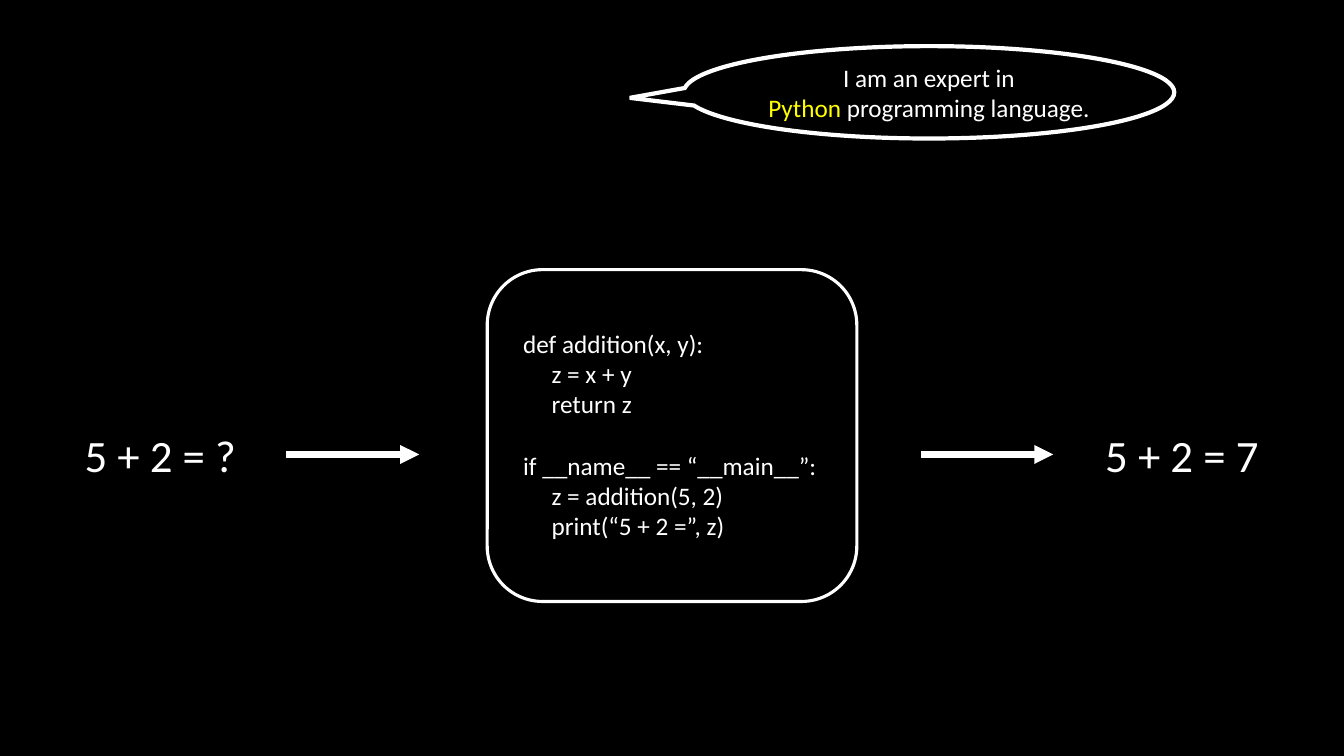
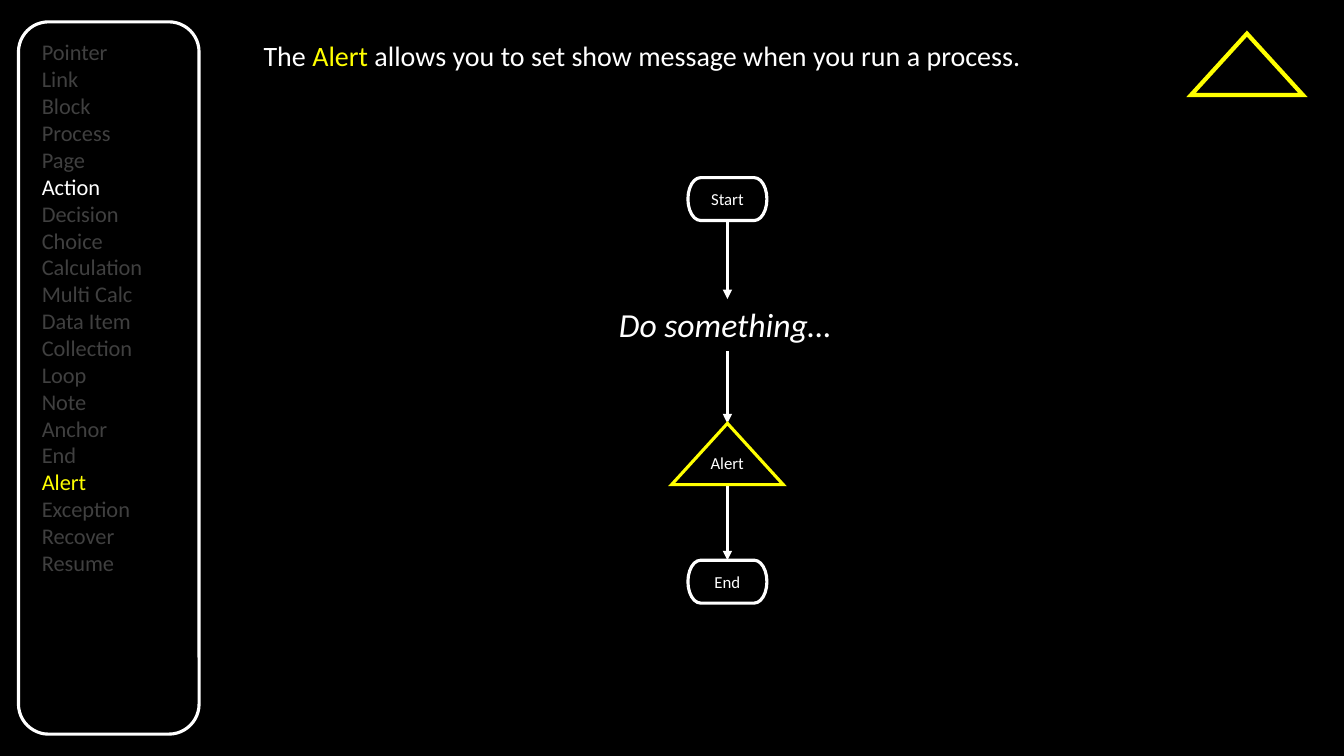
from lxml.etree import SubElement
from pptx import Presentation
from pptx.dml.color import RGBColor
from pptx.enum.shapes import MSO_CONNECTOR, MSO_SHAPE as SHAPE
from pptx.enum.text import MSO_ANCHOR as ANCHOR, MSO_AUTO_SIZE as AUTO, PP_ALIGN as ALIGN
from pptx.oxml.ns import qn
from pptx.util import Inches, Pt

BLACK = RGBColor(0x00, 0x00, 0x00)
WHITE = RGBColor(0xFF, 0xFF, 0xFF)
YELLOW = RGBColor(0xFF, 0xFF, 0x00)
GREY = RGBColor(0x40, 0x40, 0x40)

COLS, ROWS = 160, 90
STAGES = [
    "Pointer", "Link", "Block", "Process", "Page", "Action", "Decision",
    "Choice", "Calculation", "Multi Calc", "Data Item", "Collection", "Loop",
    "Note", "Anchor", "End", "Alert", "Exception", "Recover", "Resume",
]
STAGE_COLORS = {"Action": WHITE, "Alert": YELLOW}
FUNCTION_CODE = ["def addition(x, y):", "     z = x + y", "     return z"]
MAIN_CODE = [
    "if __name__ == “__main__”:",
    "     z = addition(5, 2)",
    "     print(“5 + 2 =”, z)",
]


class Deck:
    font = "Calibri"
    thin, medium, thick = 2.25, 3, 4.5

    def __init__(self):
        self.prs = Presentation()
        self.prs.slide_width, self.prs.slide_height = Inches(13.33), Inches(7.5)
        fill = self.prs.slide_master.background.fill
        fill.solid()
        fill.fore_color.rgb = BLACK
        self.s = None

    def new_slide(self):
        self.s = self.prs.slides.add_slide(self.prs.slide_layouts[6])

    def grid(self, *cells):
        units = (self.prs.slide_width / COLS, self.prs.slide_height / ROWS)
        return [round(cell * units[i % 2]) for i, cell in enumerate(cells)]

    def add_runs(self, tf, paragraphs, size, align=ALIGN.LEFT, italic=False):
        for i, runs in enumerate(paragraphs):
            p = tf.paragraphs[0] if i == 0 else tf.add_paragraph()
            p.alignment = align
            for text, color in runs:
                r = p.add_run()
                r.text = text
                r.font.name, r.font.size = self.font, Pt(size)
                r.font.color.rgb = color
                r.font.italic = italic

    def text(self, box, paragraphs, size, wrap=False, italic=False):
        tf = self.s.shapes.add_textbox(*self.grid(*box)).text_frame
        tf.word_wrap = wrap
        tf.auto_size = AUTO.SHAPE_TO_FIT_TEXT
        self.add_runs(tf, paragraphs, size, italic=italic)
        return tf

    def shape(self, kind, box, color=WHITE, width=thin, paragraphs=(), size=12):
        sp = self.s.shapes.add_shape(kind, *self.grid(*box))
        sp.shadow.inherit = False
        sp.fill.background()
        sp.line.color.rgb = color
        sp.line.width = Pt(width)
        SubElement(sp._element.spPr.get_or_add_ln(), qn("a:miter"), lim="800000")
        tf = sp.text_frame
        tf.word_wrap = True
        tf.vertical_anchor = ANCHOR.MIDDLE
        tf.margin_left = tf.margin_right = tf.margin_top = tf.margin_bottom = 0
        self.add_runs(tf, paragraphs, size, ALIGN.CENTER)
        return sp

    def arrow(self, start, end, width=thin):
        c = self.s.shapes.add_connector(
            MSO_CONNECTOR.STRAIGHT, *self.grid(*start), *self.grid(*end))
        c.line.color.rgb = WHITE
        c.line.width = Pt(width)
        SubElement(c._element.spPr.get_or_add_ln(), qn("a:tailEnd"), type="triangle")
        SubElement(c._element.spPr, qn("a:effectLst"))


def program_slide(deck):
    deck.new_slide()
    deck.shape(SHAPE.ROUNDED_RECTANGLE, (58, 32.1, 44, 39.5))
    code = [[(line, WHITE)] for line in FUNCTION_CODE + MAIN_CODE]
    tf = deck.text((61.1, 38.5, 37.8, 26.6), code, 18)
    tf.paragraphs[len(FUNCTION_CODE)].space_before = Pt(22)
    for left in (34.1, 109.6):
        deck.arrow((left, 54.1), (left + 15.8, 54.1), deck.thick)
    callout = deck.shape(
        SHAPE.OVAL_CALLOUT, (81.4, 5.5, 58.4, 11), width=deck.medium, size=18,
        paragraphs=[[("I am an expert in", WHITE)],
                    [("Python", YELLOW), (" programming language.", WHITE)]])
    callout.adjustments[0], callout.adjustments[1] = -0.61, 0.06
    for left, sum_text in ((8.9, "5 + 2 = ?"), (130.4, "5 + 2 = 7")):
        deck.text((left, 50.3, 20.8, 7.7), [[(sum_text, WHITE)]], 32)


def alert_slide(deck):
    axis = 86.6
    triangle_w, triangle_h = 13.3, 7.3
    deck.new_slide()
    deck.text((30.2, 4, 105.6, 5.3),
              [[("The ", WHITE), ("Alert", YELLOW),
                (" allows you to set show message when you run a process.", WHITE)]],
              20, wrap=True)
    deck.text((3.8, 4, 17.2, 65.9),
              [[(name, STAGE_COLORS.get(name, GREY))] for name in STAGES],
              16, wrap=True)
    deck.shape(SHAPE.ROUNDED_RECTANGLE, (2.2, 2.6, 21.5, 84.8))
    deck.shape(SHAPE.ISOSCELES_TRIANGLE, (141.8, 4, triangle_w, triangle_h),
               YELLOW, deck.medium)
    for name, top in (("Start", 21.15), ("End", 66.7)):
        deck.shape(SHAPE.FLOWCHART_TERMINATOR, (axis - 4.7, top, 9.4, 5.1),
                   paragraphs=[[(name, WHITE)]])
    for top, bottom in ((26.25, 35.6), (41.8, 50.4), (57.7, 66.7)):
        deck.arrow((axis, top), (axis, bottom))
    deck.text((72.5, 35.6, 28.3, 6), [[("Do something…", WHITE)]], 24, italic=True)
    deck.shape(SHAPE.ISOSCELES_TRIANGLE,
               (axis - triangle_w / 2, 50.4, triangle_w, triangle_h), YELLOW)
    deck.text((83.4, 53.3, 6.5, 3.6), [[("Alert", WHITE)]], 12)


def main():
    deck = Deck()
    program_slide(deck)
    alert_slide(deck)
    deck.prs.save("out.pptx")


if __name__ == "__main__":
    main()
